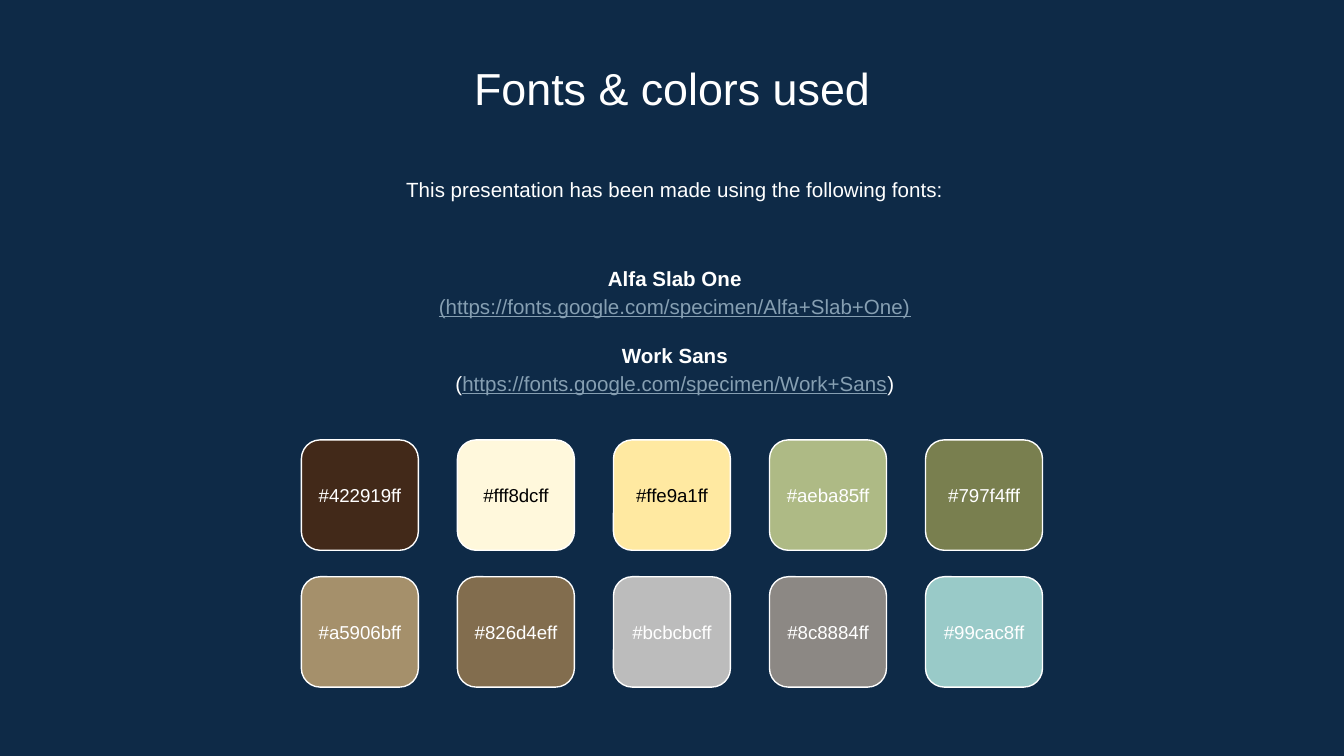
"""Build the slide that lists the fonts and colors used."""
from pptx import Presentation
from pptx.dml.color import RGBColor
from pptx.enum.shapes import MSO_SHAPE
from pptx.enum.text import MSO_ANCHOR, MSO_AUTO_SIZE, PP_ALIGN
from pptx.util import Inches, Pt

ROUNDED = MSO_SHAPE.ROUNDED_RECTANGLE
TOP, MIDDLE = MSO_ANCHOR.TOP, MSO_ANCHOR.MIDDLE
CENTER = PP_ALIGN.CENTER
FIXED = MSO_AUTO_SIZE.NONE
WHITE, BLACK, NAVY, LINK = "FFFFFF", "000000", "0E2A47", "869FB2"


def color(value):
    return RGBColor.from_string(value.upper())


def write(box, lines, size=11, anchor=TOP, spacing=1.15, gaps=()):
    frame = box.text_frame
    frame.word_wrap = True
    frame.auto_size = FIXED
    frame.vertical_anchor = anchor
    frame.margin_left = frame.margin_right = Inches(0.1)
    frame.margin_top = frame.margin_bottom = Inches(0.1)
    for index, line in enumerate(lines):
        para = frame.add_paragraph() if index else frame.paragraphs[0]
        para.alignment = CENTER
        para.line_spacing = spacing
        para.space_before = Pt(11 if index in gaps else 0)
        for text, tint, bold, underline in line:
            span = para.add_run()
            span.text = text
            span.font.name = "Arial"
            span.font.size = Pt(size)
            span.font.bold = bold
            span.font.underline = underline
            span.font.color.rgb = color(tint)


deck = Presentation()
deck.slide_width = Inches(10)
deck.slide_height = deck.slide_width * 9 // 16
column, row = deck.slide_width / 100, deck.slide_height / 100
page = deck.slides.add_slide(deck.slide_layouts[5])
page.background.fill.solid()
page.background.fill.fore_color.rgb = color(NAVY)

title = page.shapes.title
title.left, title.top = int(11.46 * column), int(6.2 * row)
title.width, title.height = int(77.1 * column), int(9.4 * row)
write(title, [[("Fonts & colors used", WHITE, False, False)]], size=24, spacing=1.0)

intro = page.shapes.add_textbox(
    int(11.66 * column), int(21.2 * row), int(77.1 * column), int(8.5 * row))
write(intro, [[("This presentation has been made using the following fonts:",
                WHITE, False, False)]])

fonts = page.shapes.add_textbox(
    int(11.66 * column), int(31.3 * row), int(77.1 * column), int(24.4 * row))
write(fonts, [
    [("Alfa Slab One", WHITE, True, False)],
    [("(https://fonts.google.com/specimen/Alfa+Slab+One)", LINK, False, True)],
    [("Work Sans", WHITE, True, False)],
    [("(", WHITE, False, False),
     ("https://fonts.google.com/specimen/Work+Sans", LINK, False, True),
     (")", WHITE, False, False)],
], anchor=MIDDLE, gaps=(2,))

palette = [
    ["422919", "fff8dc", "ffe9a1", "aeba85", "797f4f"],
    ["a5906b", "826d4e", "bcbcbc", "8c8884", "99cac8"],
]
dark_labels = ("fff8dc", "ffe9a1")
for line_number, shades in enumerate(palette):
    top = (58.2 + 18.1 * line_number) * row
    for position, shade in enumerate(shades):
        left = int((22.43 + 11.61 * position) * column)
        width = int(8.7 * column)
        swatch = page.shapes.add_shape(ROUNDED, left, int(top), width, int(14.6 * row))
        swatch.shadow.inherit = False
        swatch.adjustments[0] = 0.17
        swatch.fill.solid()
        swatch.fill.fore_color.rgb = color(shade)
        swatch.line.color.rgb = color(WHITE)
        swatch.line.width = Pt(0.75)
        label = page.shapes.add_textbox(left, int(top + 3 * row), width, int(8.5 * row))
        tint = BLACK if shade in dark_labels else WHITE
        write(label, [[(f"#{shade}ff", tint, False, False)]],
              size=10, anchor=MIDDLE, spacing=1.0)

deck.save("out.pptx")
